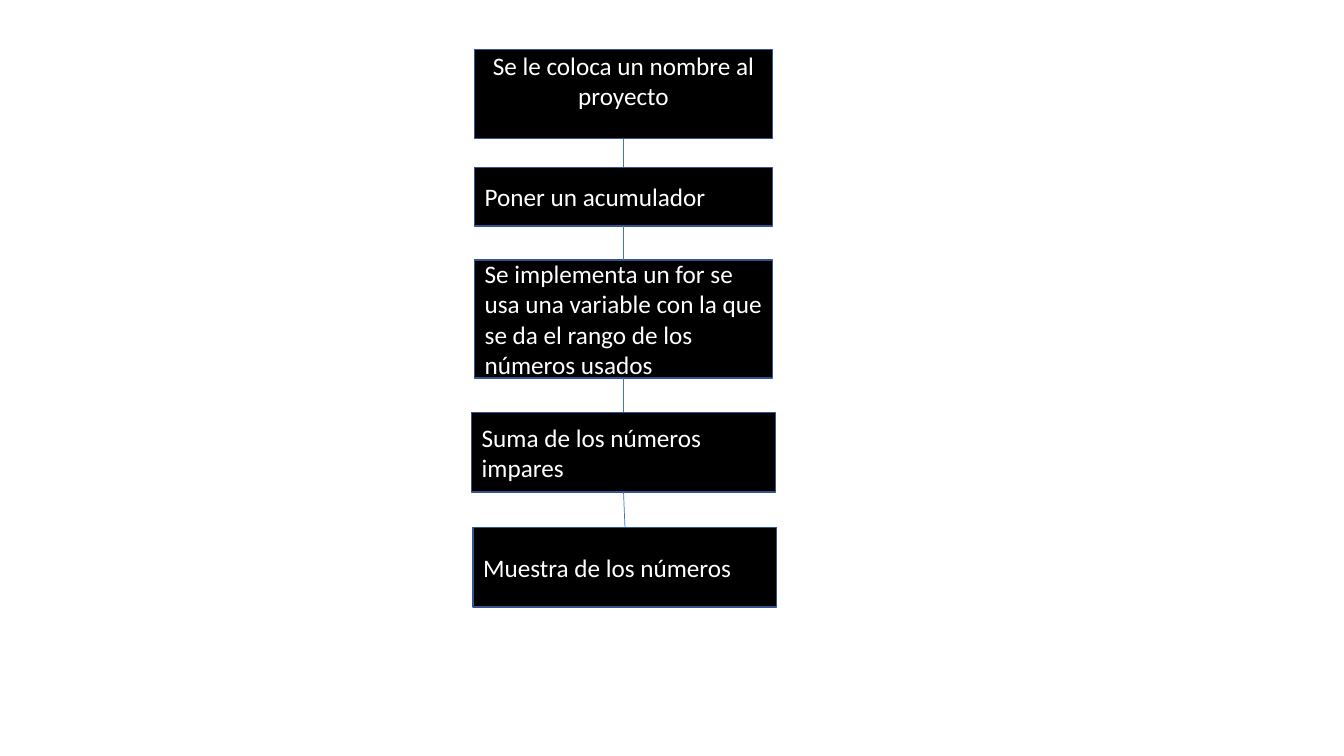
from pptx import Presentation
from pptx.dml.color import RGBColor
from pptx.enum.shapes import MSO_CONNECTOR, MSO_SHAPE
from pptx.enum.text import MSO_ANCHOR, PP_ALIGN
from pptx.oxml.ns import qn
from pptx.util import Pt
from lxml.etree import SubElement

HUES = {"box": "000000", "edge": "325491", "link": "4472C4", "text": "FFFFFF"}
FONT, SIZE = "Calibri", 18
LEFT, CENTER = PP_ALIGN.LEFT, PP_ALIGN.CENTER

# text, left, top, width, height, alignment, top inset, bottom inset
STEPS = [
    ("Se le coloca un nombre al proyecto", 339.1, 35.4, 212.5, 63.6, CENTER, 0, 20),
    ("Poner un acumulador ", 339.1, 119.5, 212.5, 41.8, LEFT, 3.6, 3.6),
    ("Se implementa un for se usa una variable con la que se da el rango "
     "de los números usados", 339.1, 185.8, 212.5, 84.2, LEFT, 3.6, 3.6),
    ("Suma de los números impares", 337, 294.5, 216.8, 56.9, LEFT, 3.6, 3.6),
    ("Muestra de los números  ", 338, 376.6, 216.8, 56.9, LEFT, 3.6, 3.6),
]
TOP, BOTTOM = 0, 2  # connection sites of a rectangle


def hue(name):
    """Return a named colour."""
    return RGBColor.from_string(HUES[name])


def add_step(slide, text, left, top, width, height, align, above, below):
    """Draw one step of the flow and return its box."""
    box = slide.shapes.add_shape(
        MSO_SHAPE.RECTANGLE, Pt(left), Pt(top), Pt(width), Pt(height))
    box.shadow.inherit = False
    box.fill.solid()
    box.fill.fore_color.rgb = hue("box")
    box.line.color.rgb = hue("edge")
    box.line.width = Pt(1)
    frame = box.text_frame
    frame.word_wrap = True
    frame.vertical_anchor = MSO_ANCHOR.MIDDLE
    frame.margin_top, frame.margin_bottom = Pt(above), Pt(below)
    para = frame.paragraphs[0]
    para.alignment = align
    run = para.add_run()
    run.text = text
    run.font.name = FONT
    run.font.size = Pt(SIZE)
    run.font.color.rgb = hue("text")
    return box


def add_link(slide, upper, lower):
    """Join the bottom of one box to the top of the next."""
    link = slide.shapes.add_connector(MSO_CONNECTOR.STRAIGHT, 0, 0, 0, 0)
    link.begin_connect(upper, BOTTOM)
    link.end_connect(lower, TOP)
    link.line.color.rgb = hue("link")
    link.line.width = Pt(0.5)
    SubElement(link._element.spPr, qn("a:effectLst"))


deck = Presentation()
deck.slide_width, deck.slide_height = Pt(960), Pt(540)
slide = deck.slides.add_slide(deck.slide_layouts[6])
boxes = [add_step(slide, *step) for step in STEPS]
for upper, lower in zip(boxes, boxes[1:]):
    add_link(slide, upper, lower)
deck.save("out.pptx")
